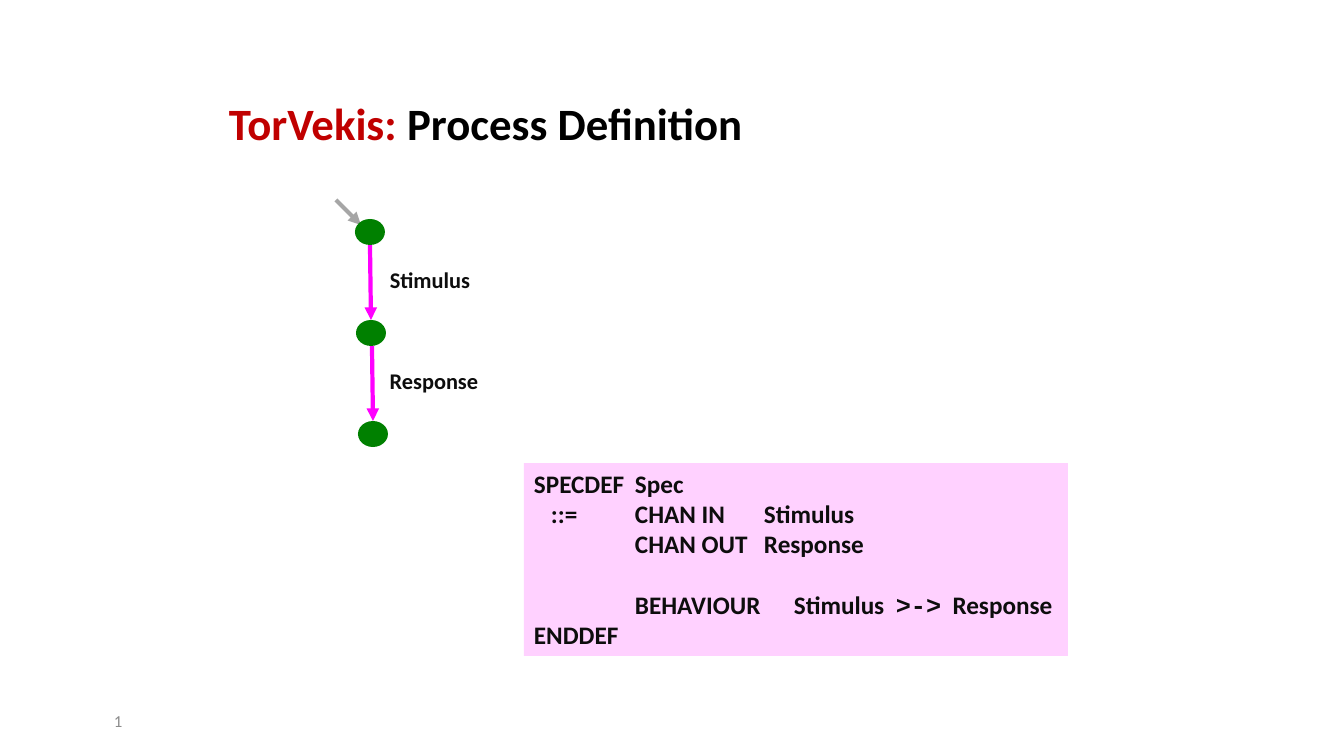
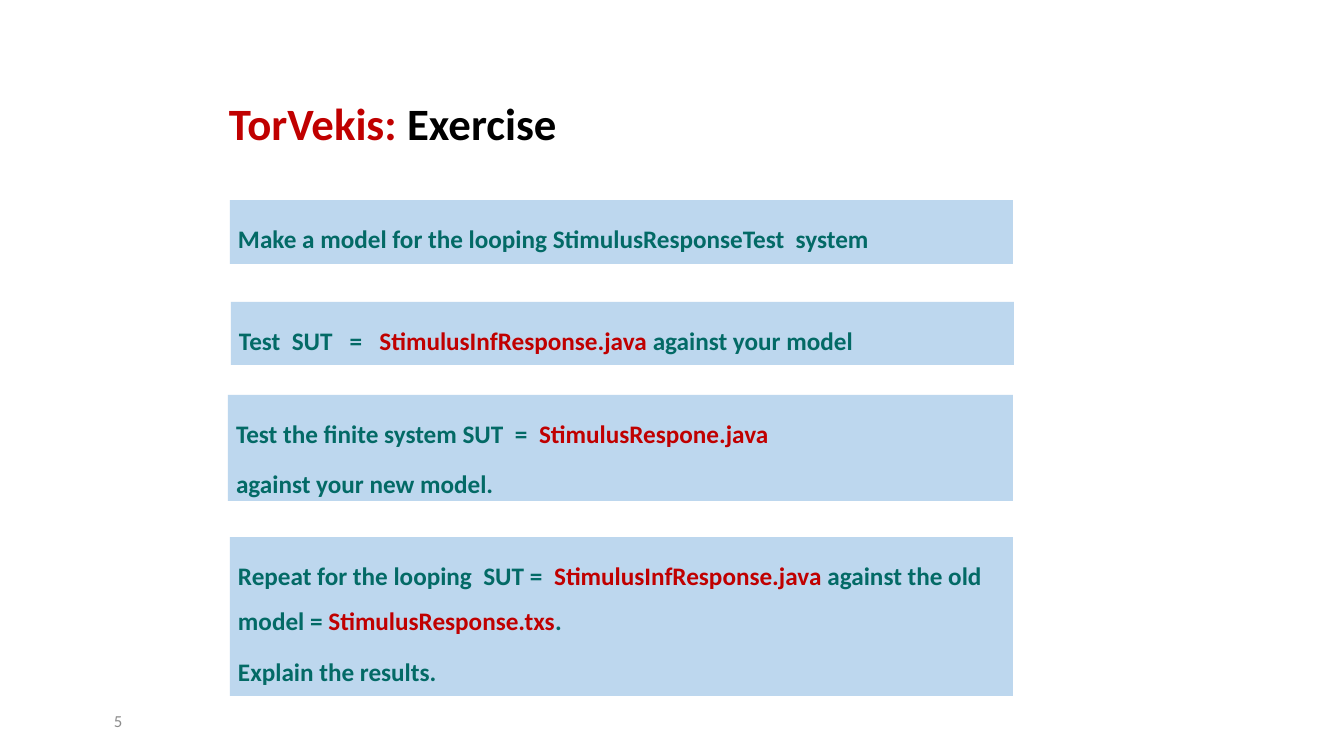
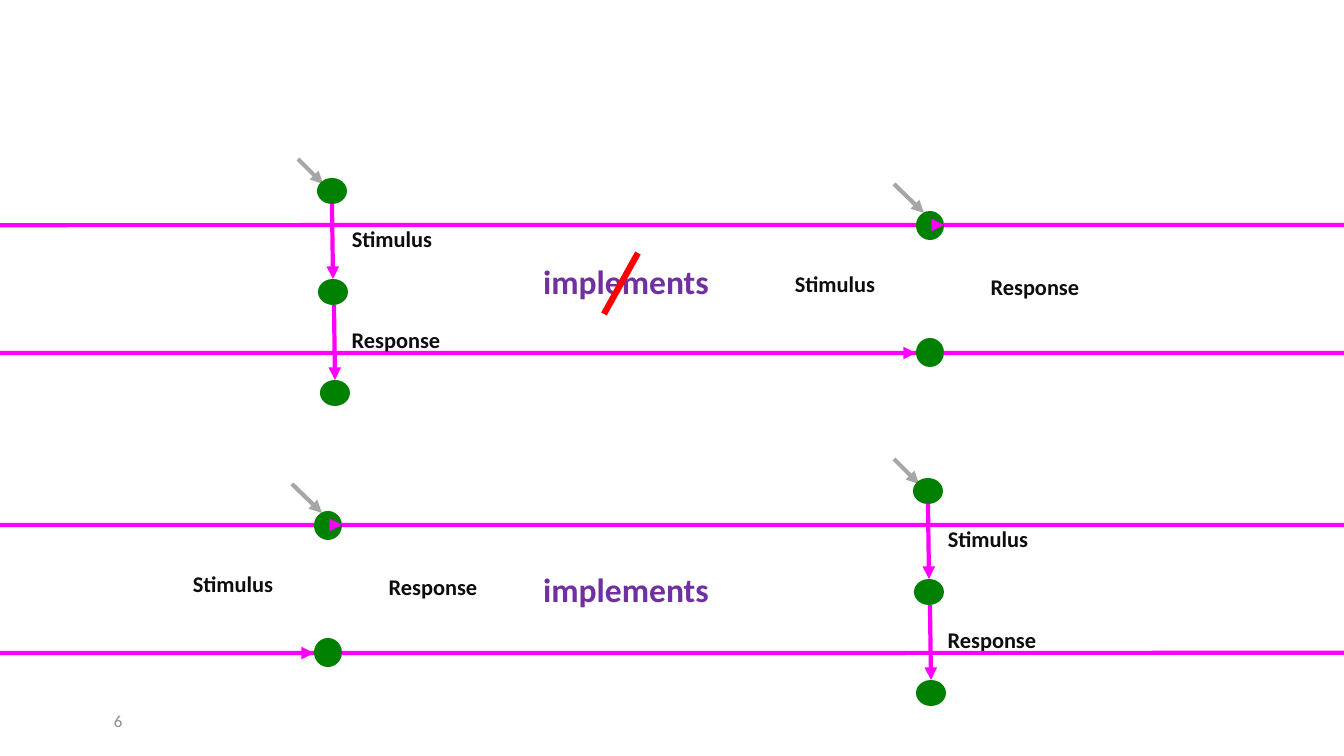
from dataclasses import dataclass

from lxml import etree
from pptx import Presentation
from pptx.dml.color import RGBColor
from pptx.enum.shapes import MSO_CONNECTOR, MSO_SHAPE
from pptx.enum.text import MSO_ANCHOR, PP_ALIGN
from pptx.oxml.ns import qn
from pptx.util import Emu, Pt

STRAIGHT, CURVE = MSO_CONNECTOR.STRAIGHT, MSO_CONNECTOR.CURVE
RECT, OVAL = MSO_SHAPE.RECTANGLE, MSO_SHAPE.OVAL
MIDDLE, TOP = MSO_ANCHOR.MIDDLE, MSO_ANCHOR.TOP
LEFT, CENTER = PP_ALIGN.LEFT, PP_ALIGN.CENTER

EMU_PER_PX = 914400 / 100.8
SLIDE_W, SLIDE_H = 1344, 756
BODY_FONT, CODE_FONT = "Calibri", "Courier New"
COLORS = {
    "black": "000000",
    "ink": "0D0D0D",
    "red": "C00000",
    "strike": "FF0000",
    "teal": "036A66",
    "purple": "7030A0",
    "footer": "8C8C8C",
    "entry": "A6A6A6",
    "edge": "FF00FF",
    "state": "008000",
    "code": "FFD1FF",
    "task": "BDD7EE",
}
# The loop edges are one EMU wide, so their bulge is a huge multiple of it.
LOOP_BULGE = 22860100000
HALF_TURN = 10800000


@dataclass(frozen=True)
class Span:
    """A piece of text with its own colour or font."""
    text: str
    color: str
    font: str = BODY_FONT


@dataclass(frozen=True)
class Style:
    """Formatting shared by the paragraphs of one block."""
    size: int
    bold: bool = True
    align: PP_ALIGN = LEFT
    anchor: MSO_ANCHOR = MIDDLE
    spacing: float = 1.0
    before: float = 0
    inset: tuple[int, int] = (10, 5)
    wrap: bool = True


@dataclass(frozen=True)
class Box:
    """Left, top, width and height in pixels."""
    x: int
    y: int
    w: int
    h: int


@dataclass(frozen=True)
class CodeLine:
    """A line of code, its tab stops and the space above it."""
    spans: list[Span]
    tabs: tuple[int, ...] = ()
    before: float = 0


@dataclass(frozen=True)
class Task:
    """An exercise box and its paragraphs."""
    box: Box
    lines: list[list[Span]]


TITLE = Style(32, spacing=0.9)
FOOTER = Style(12, bold=False, inset=(22, 5))
LABEL = Style(16, align=CENTER, spacing=0.8, wrap=False)
RELATION = Style(24, align=CENTER, spacing=0.8, wrap=False)
CODE = Style(18, anchor=TOP)
TASK = Style(18, anchor=TOP, spacing=1.5, before=3.6, inset=(8, 8))


def px(value: float) -> Emu:
    """Turn pixels into EMU."""
    return Emu(round(value * EMU_PER_PX))


def rgb(name: str) -> RGBColor:
    """Look a colour up by name."""
    return RGBColor.from_string(COLORS[name])


def write(shape, lines: list[list[Span]], style: Style) -> None:
    """Fill a shape with styled paragraphs."""
    tf = shape.text_frame
    tf.word_wrap = style.wrap
    tf.vertical_anchor = style.anchor
    tf.margin_left = tf.margin_right = px(style.inset[0])
    tf.margin_top = tf.margin_bottom = px(style.inset[1])
    for i, spans in enumerate(lines):
        p = tf.paragraphs[0] if i == 0 else tf.add_paragraph()
        p.alignment = style.align
        p.line_spacing = style.spacing
        p.space_before = Pt(style.before)
        p.font.size = Pt(style.size)
        p.font.bold = style.bold
        p.font.name = BODY_FONT
        for span in spans:
            r = p.add_run()
            r.text = span.text
            r.font.color.rgb = rgb(span.color)
            if span.font != BODY_FONT:
                r.font.name = span.font


def add_text(s, box: Box, spans: list[Span], style: Style) -> None:
    """Add a one-paragraph text box."""
    tb = s.shapes.add_textbox(px(box.x), px(box.y), px(box.w), px(box.h))
    write(tb, [spans], style)


def add_shape(s, kind: MSO_SHAPE, box: Box, fill: str):
    """Add a flat shape without outline."""
    shape = s.shapes.add_shape(kind, px(box.x), px(box.y), px(box.w), px(box.h))
    shape.shadow.inherit = False
    shape.fill.solid()
    shape.fill.fore_color.rgb = rgb(fill)
    shape.line.fill.background()
    return shape


def add_line(s, start: tuple[int, int], end: tuple[int, int], color: str,
             width: float = 3, arrow: bool = True, kind: MSO_CONNECTOR = STRAIGHT):
    """Add a connector, by default with an arrowhead."""
    line = s.shapes.add_connector(kind, *map(px, start + end))
    line.line.color.rgb = rgb(color)
    line.line.width = Pt(width)
    if arrow:
        ln = line.line._get_or_add_ln()
        etree.SubElement(ln, qn("a:tailEnd"), type="triangle")
    etree.SubElement(line._element.spPr, qn("a:effectLst"))
    return line


def add_loop_edge(s, x: int, top: int, bottom: int, turned: bool) -> None:
    """Add a curved edge; a turned one bulges left and points down."""
    edge = add_line(s, (x, bottom), (x, top), "edge", kind=CURVE)
    edge.width = Emu(1)
    sp_pr = edge._element.spPr
    if turned:
        sp_pr.find(qn("a:xfrm")).set("rot", str(HALF_TURN))
    guides = sp_pr.find(qn("a:prstGeom")).find(qn("a:avLst"))
    etree.SubElement(guides, qn("a:gd"), name="adj1", fmla=f"val {LOOP_BULGE}")


def add_labels(s, stimulus: tuple[int, int], response: tuple[int, int]) -> None:
    """Name the two transitions of an automaton."""
    for text, (x, y), w in (("Stimulus", stimulus, 102), ("Response", response, 110)):
        add_text(s, Box(x, y, w, 32), [Span(text, "ink")], LABEL)


def add_chain(s, x: int, y: int) -> None:
    """Draw the finite automaton, its entry arrow starting at x, y."""
    add_line(s, (x, y), (x + 25, y + 25), "entry")
    for dx, dy in ((34, 45), (36, 146)):
        add_line(s, (x + dx, y + dy), (x + dx + 1, y + dy + 75), "edge")
    for dx, dy in ((19, 19), (20, 120), (22, 221)):
        add_shape(s, OVAL, Box(x + dx, y + dy, 30, 26), "state")
    add_labels(s, (x + 43, y + 66), (x + 43, y + 167))


def add_loop(s, x: int, y: int) -> None:
    """Draw the looping automaton, its entry arrow starting at x, y."""
    add_labels(s, (x - 110, y + 86), (x + 86, y + 89))
    for dy in (154, 27):
        add_shape(s, OVAL, Box(x + 22, y + dy, 28, 29), "state")
    for dx, turned in ((22, True), (50, False)):
        add_loop_edge(s, x + dx, y + 41, y + 169, turned)
    add_line(s, (x, y), (x + 30, y + 29), "entry")


def add_slide(prs, number: int, title: str = ""):
    """Add a blank slide with its number and, if given, a title."""
    s = prs.slides.add_slide(prs.slide_layouts[6])
    add_text(s, Box(92, 701, 302, 40), [Span(str(number), "footer")], FOOTER)
    if title:
        spans = [Span("TorVekis: ", "red"), Span(title, "black")]
        add_text(s, Box(219, 92, 907, 68), spans, TITLE)
    return s


def add_code(s, box: Box, lines: list[CodeLine]) -> None:
    """Add a code panel aligned with tab stops."""
    panel = add_shape(s, RECT, box, "code")
    write(panel, [line.spans for line in lines], CODE)
    for p, line in zip(panel.text_frame.paragraphs, lines):
        p.space_before = Pt(line.before)
        tabs = etree.Element(qn("a:tabLst"))
        for stop in line.tabs:
            etree.SubElement(tabs, qn("a:tab"), pos=str(px(stop)), algn="l")
        p._p.pPr.find(qn("a:defRPr")).addprevious(tabs)


def definition_slide(prs) -> None:
    """Build the process definition slide."""
    s = add_slide(prs, 1, "Process Definition")
    add_code(s, Box(524, 463, 544, 193), [
        CodeLine([Span("SPECDEF\tSpec", "ink")], (101,)),
        CodeLine([Span("\t::=\tCHAN IN\tStimulus", "ink")], (17, 101, 230)),
        CodeLine([Span("\tCHAN OUT\tResponse", "ink")], (101, 230)),
        CodeLine([Span("\tBEHAVIOUR\tStimulus  ", "ink"),
                  Span(">->", "ink", CODE_FONT),
                  Span("  Response", "ink")], (101, 260), before=21.6),
        CodeLine([Span("ENDDEF", "ink")]),
    ])
    add_chain(s, 336, 200)


def exercise_slide(prs) -> None:
    """Build the exercise slide."""
    s = add_slide(prs, 5, "Exercise")
    tasks = [
        Task(Box(230, 200, 783, 64), [
            [Span("Make a model for the looping StimulusResponseTest  system", "teal")]]),
        Task(Box(231, 302, 783, 63), [
            [Span("Test  SUT   =   ", "teal"),
             Span("StimulusInfResponse.java ", "red"),
             Span("against your model", "teal")]]),
        Task(Box(228, 395, 785, 106), [
            [Span("Test the finite system SUT  =  ", "teal"),
             Span("StimulusRespone.java", "red")],
            [Span("against your new model.", "teal")]]),
        Task(Box(230, 537, 783, 159), [
            [Span("Repeat for the looping  SUT =  ", "teal"),
             Span("StimulusInfResponse.java", "red"),
             Span(" against the old model = ", "teal"),
             Span("StimulusResponse.txs", "red"),
             Span(".", "teal")],
            [Span("Explain the results.", "teal")]]),
    ]
    for task in tasks:
        write(add_shape(s, RECT, task.box, "task"), task.lines, TASK)


def implements_slide(prs) -> None:
    """Build the slide that compares the two automata both ways."""
    s = add_slide(prs, 6)
    add_loop(s, 894, 184)
    add_chain(s, 298, 159)
    add_chain(s, 894, 459)
    for y in (264, 572):
        add_text(s, Box(532, y, 188, 42), [Span("implements", "purple")], RELATION)
    add_loop(s, 292, 484)
    add_line(s, (604, 314), (638, 253), "strike", width=4.5, arrow=False)


def main() -> None:
    """Build and save the presentation."""
    prs = Presentation()
    prs.slide_width, prs.slide_height = px(SLIDE_W), px(SLIDE_H)
    definition_slide(prs)
    exercise_slide(prs)
    implements_slide(prs)
    prs.save("out.pptx")


main()
